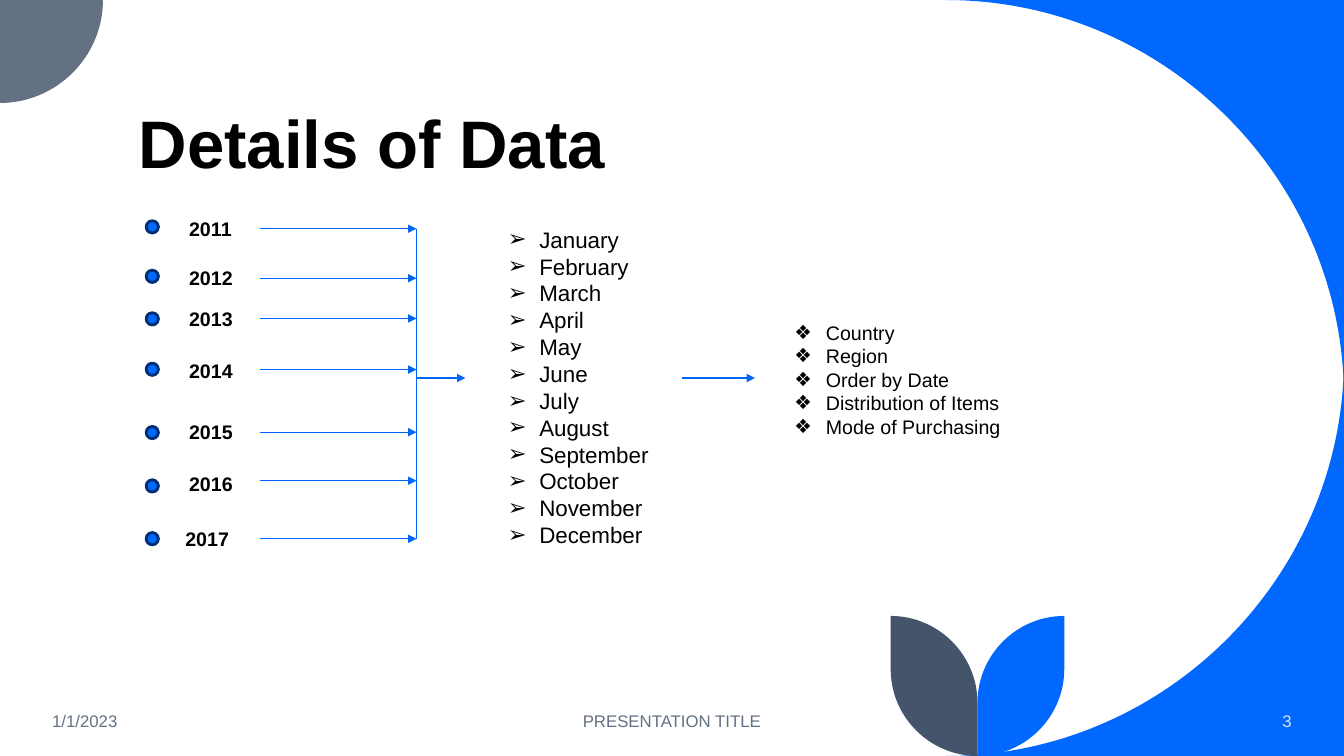
from pptx import Presentation
from pptx.dml.color import RGBColor
from pptx.enum.shapes import MSO_CONNECTOR as Link, MSO_SHAPE as Shape
from pptx.enum.text import MSO_ANCHOR as Anchor, MSO_AUTO_SIZE as Auto, PP_ALIGN as Align
from pptx.oxml.ns import qn
from pptx.oxml.xmlchemy import OxmlElement as Node
from pptx.util import Pt

BLUE = RGBColor(0x00, 0x68, 0xFF)
LINE = RGBColor(0x00, 0x66, 0xF9)
NAVY = RGBColor(0x00, 0x2E, 0x70)
GREY = RGBColor(0x63, 0x71, 0x83)
SLATE = RGBColor(0x44, 0x54, 0x6A)
PALE = RGBColor(0xDA, 0xE5, 0xEF)
BLACK = RGBColor(0, 0, 0)


def arc(x, y, dx, dy):
    """Curve points of a clockwise quarter circle round (x, y), from offset (dx, dy)."""
    k = 0.55
    return [(x + dx, y + dy), (x + dx - k * dy, y + dy + k * dx),
            (x - dy + k * dx, y + dx + k * dy), (x - dy, y + dx)]


def put(box, text, area, size, color=BLACK, bold=False, align=Align.LEFT,
        anchor=Anchor.TOP, wrap=True, space=1.0, mark=None):
    """Place a box and write one paragraph per line of text."""
    box.left, box.top, box.width, box.height = map(Pt, area)
    frame = box.text_frame
    frame.text = text
    frame.auto_size = Auto.NONE
    frame.word_wrap = wrap
    frame.vertical_anchor = anchor
    for para in frame.paragraphs:
        para.alignment = align
        para.line_spacing = space
        para.space_before = para.space_after = Pt(0)
        font = para.runs[0].font
        font.name, font.size, font.bold = "Arial", Pt(size), bold
        font.color.rgb = color
        if mark:
            props = para._p.get_or_add_pPr()
            props.set("marL", str(Pt(22.5)))
            props.set("indent", str(-Pt(22.5)))
            char = Node("a:buChar")
            char.set("char", mark)
            props.append(char)


deck = Presentation()
deck.slide_width, deck.slide_height = Pt(960), Pt(540)
slide = deck.slides.add_slide(deck.slide_layouts[3])
shapes = slide.shapes
title, months, fields = slide.placeholders

# Curved background and leaves: points, first segment of each curve, fill
EDGE, ROUND = 675.6, 284.4
STEM, LEAF = 698.2, 62
leaf = arc(STEM, 478, LEAF, 0) + arc(STEM + LEAF, 502, -LEAF, 0)
forms = [
    ([(960, 0)] + arc(EDGE, ROUND, 0, -ROUND), [1], BLUE),
    ([(960, 540)] + arc(EDGE, 540 - ROUND, ROUND, 0), [1], BLUE),
    ([(0, 0)] + arc(0, 0, 73.6, 0), [1], GREY),
    (leaf, [0, 4], BLUE),
    ([(2 * STEM - x, y) for x, y in leaf], [0, 4], SLATE),
]
for points, bends, color in forms:
    first, *rest = [(Pt(x), Pt(y)) for x, y in points]
    pen = shapes.build_freeform(*first)
    pen.add_line_segments(rest)
    form = pen.convert_to_shape()
    form.shadow.inherit = False
    form.fill.solid()
    form.fill.fore_color.rgb = color
    form.line.fill.background()
    parts = form.element.findall(".//" + qn("a:lnTo"))
    for bend in bends:
        curve = Node("a:cubicBezTo")
        parts[bend].addprevious(curve)
        for part in parts[bend:bend + 3]:
            curve.append(part[0])
            part.getparent().remove(part)

# Title and lists
put(title, "Details of Data", (91.8, 30.2, 769.7, 104.4), 48, bold=True,
    anchor=Anchor.BOTTOM, space=0.9)
put(months, "January\nFebruary\nMarch\nApril\nMay\nJune\nJuly\nAugust\n"
    "September\nOctober\nNovember\nDecember", (355.5, 157.7, 116.6, 239.8), 16, mark="➢")
put(fields, "Country\nRegion\nOrder by Date\nDistribution of Items\nMode of Purchasing",
    (560.2, 225.4, 162, 92.2), 14, wrap=False, mark="❖")

# Footer
for text, left, width, align, color in [
    ("1/1/2023", 30.2, 216, Align.LEFT, GREY),
    ("PRESENTATION TITLE", 318, 324, Align.CENTER, GREY),
    ("3", 799.2, 130.5, Align.RIGHT, PALE),
]:
    put(shapes.add_textbox(0, 0, 0, 0), text, (left, 500.4, width, 28.8), 12,
        color=color, align=align, anchor=Anchor.MIDDLE)

# Years: label left, then tops of dot and label, then height of arrow
years = [
    ("2011", 128, 157.7, 151.2, 163.4),
    ("2012", 128, 193, 186.5, 198.7),
    ("2013", 128, 223.4, 216, 227.5),
    ("2014", 128, 259.4, 252.7, 264),
    ("2015", 128, 304.6, 296.6, 308.7),
    ("2016", 128, 342.7, 333.8, 343.4),
    ("2017", 125.3, 380.4, 373, 384.9),
]
TRUNK = 297.5
lines = [
    (TRUNK, years[0][4], TRUNK, years[-1][4], False),
    (TRUNK, 270, 332.4, 270, True),
    (487.4, 270, 539.3, 270, True),
]
for year, left, top, head, mid in years:
    dot = shapes.add_shape(Shape.OVAL, Pt(104.4), Pt(top), Pt(8.8), Pt(8.8))
    dot.shadow.inherit = False
    dot.fill.solid()
    dot.fill.fore_color.rgb = BLUE
    dot.line.color.rgb = NAVY
    dot.line.width = Pt(2)
    put(shapes.add_textbox(0, 0, 0, 0), year, (left, head, 46.1, 24.5), 14,
        bold=True, wrap=False)
    lines.append((185.8, mid, TRUNK, mid, True))

for *ends, arrow in lines:
    link = shapes.add_connector(Link.STRAIGHT, *map(Pt, ends))
    link.line.color.rgb = LINE
    link.line.width = Pt(0.75)
    if arrow:
        tip = Node("a:tailEnd")
        tip.set("type", "triangle")
        link.get_or_add_ln().append(tip)
    link.element.find(qn("p:spPr")).append(Node("a:effectLst"))

deck.save("out.pptx")
